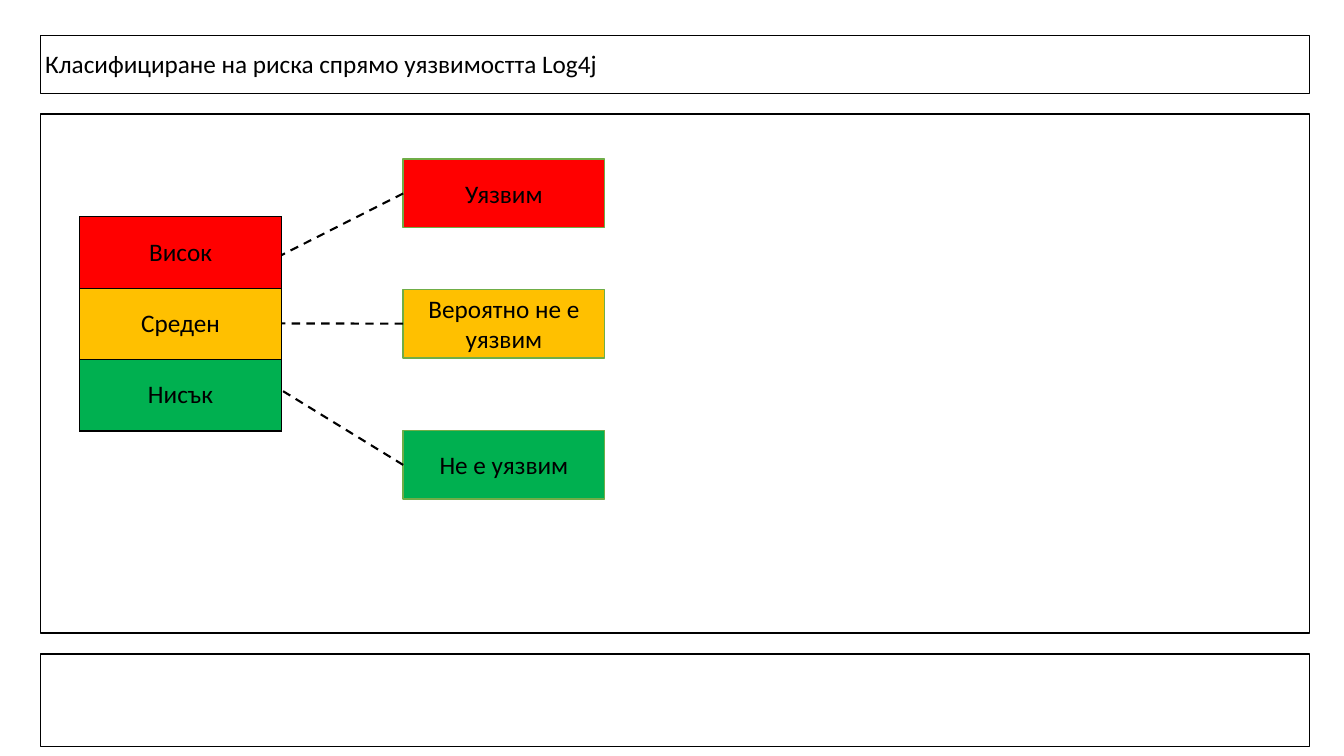
from lxml.etree import SubElement
from pptx import Presentation
from pptx.dml.color import RGBColor
from pptx.enum.dml import MSO_LINE
from pptx.enum.shapes import MSO_CONNECTOR, MSO_SHAPE
from pptx.enum.text import MSO_ANCHOR, MSO_AUTO_SIZE, PP_ALIGN
from pptx.oxml.ns import qn
from pptx.util import Cm, Pt

BLACK, GREEN_EDGE = "000000", "70AD47"


def rgb(value):
    return RGBColor.from_string(value)


def write(tf, text, align=PP_ALIGN.LEFT):
    p = tf.paragraphs[0]
    p.alignment = align
    r = p.add_run()
    r.text = text
    r.font.name, r.font.size = "Calibri", Pt(18)
    r.font.color.rgb = rgb(BLACK)


prs = Presentation()
prs.slide_width, prs.slide_height = Cm(33.87), Cm(19.05)
s = prs.slides.add_slide(prs.slide_layouts[6])

# Frames: title, footer, body
for top, height in [(0.89, 1.47), (16.48, 2.34), (2.87, 13.08)]:
    sp = s.shapes.add_shape(MSO_SHAPE.RECTANGLE, Cm(1.02), Cm(top), Cm(31.98), Cm(height))
    sp.shadow.inherit = False
    sp.fill.background()
    sp.line.color.rgb = rgb(BLACK)
    sp.line.width = Pt(1)

# Risk levels, statuses and where their links meet
box_width, box_height, row_height = 5.08, 1.73, 1.8
table_left, status_left = 2.01, 10.16
levels = [
    ("Висок", "Уязвим", "FF0000", 4.01, 6.43),
    ("Среден", "Вероятно не е уязвим", "FFC000", 7.29, 8.15),
    ("Нисък", "Не е уязвим", "00B050", 10.85, 9.83),
]

# Risk table
table = s.shapes.add_table(len(levels), 1, Cm(table_left), Cm(5.46),
                           Cm(box_width), Cm(row_height * len(levels))).table
for i, (risk, _, color, _, _) in enumerate(levels):
    table.rows[i].height = Cm(row_height)
    cell = table.cell(i, 0)
    cell.vertical_anchor = MSO_ANCHOR.MIDDLE
    write(cell.text_frame, risk, PP_ALIGN.CENTER)
    for side in ("a:lnL", "a:lnR", "a:lnT", "a:lnB"):
        ln = SubElement(cell._tc.get_or_add_tcPr(), qn(side), w=str(Pt(1)))
        SubElement(SubElement(ln, qn("a:solidFill")), qn("a:srgbClr"), val=BLACK)
    cell.fill.solid()
    cell.fill.fore_color.rgb = rgb(color)

# Status boxes with dashed links to the table
for _, status, color, top, link_y in levels:
    sp = s.shapes.add_shape(MSO_SHAPE.RECTANGLE, Cm(status_left), Cm(top),
                            Cm(box_width), Cm(box_height))
    sp.shadow.inherit = False
    sp.fill.solid()
    sp.fill.fore_color.rgb = rgb(color)
    sp.line.color.rgb = rgb(GREEN_EDGE)
    sp.line.width = Pt(1)
    tf = sp.text_frame
    tf.word_wrap = True
    tf.vertical_anchor = MSO_ANCHOR.MIDDLE
    write(tf, status, PP_ALIGN.CENTER)

    link = s.shapes.add_connector(MSO_CONNECTOR.STRAIGHT, Cm(status_left), Cm(top + box_height / 2),
                                  Cm(table_left + box_width), Cm(link_y))
    link.line.color.rgb = rgb(BLACK)
    link.line.width = Pt(1.5)
    link.line.dash_style = MSO_LINE.DASH
    SubElement(link._element.spPr, qn("a:effectLst"))

# Title
tf = s.shapes.add_textbox(Cm(0.89), Cm(1.09), Cm(14.58), Cm(1.02)).text_frame
tf.word_wrap = False
tf.auto_size = MSO_AUTO_SIZE.SHAPE_TO_FIT_TEXT
write(tf, "Класифициране на риска спрямо уязвимостта Log4j")

prs.save("out.pptx")
